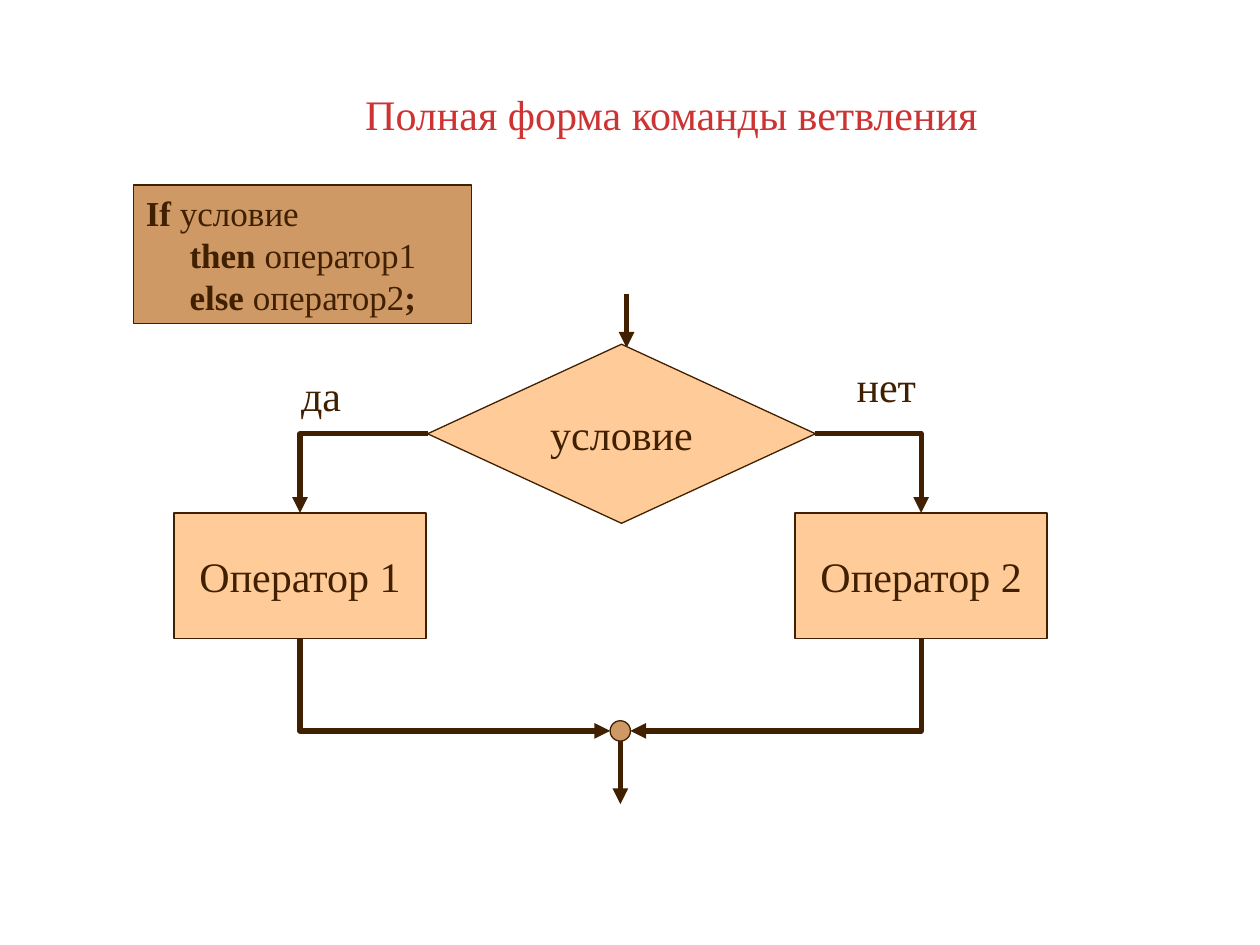
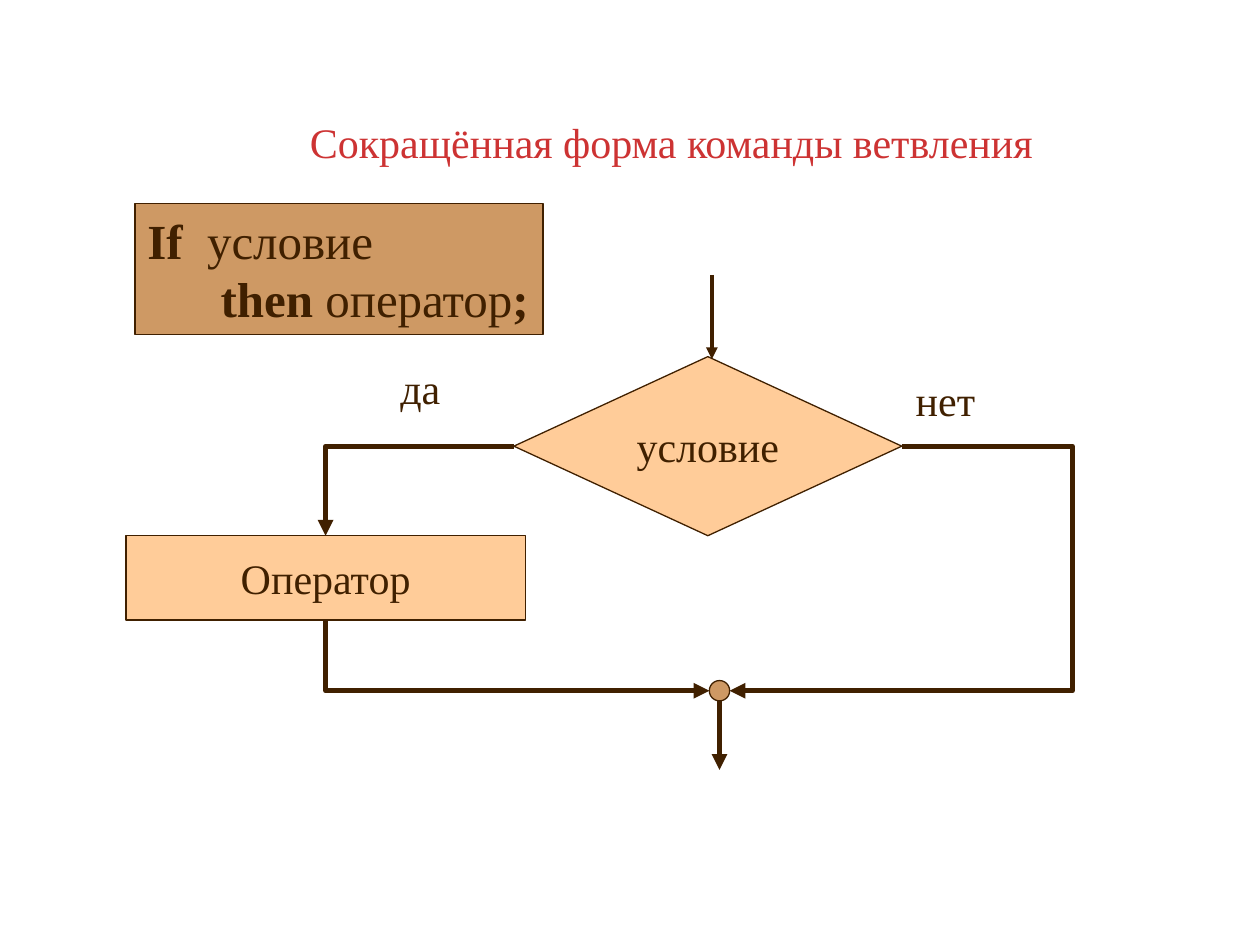
from typing import NamedTuple

from lxml import etree
from pptx import Presentation
from pptx.dml.color import RGBColor
from pptx.enum.shapes import MSO_CONNECTOR, MSO_SHAPE
from pptx.enum.text import MSO_ANCHOR, PP_ALIGN
from pptx.oxml.ns import qn
from pptx.util import Cm, Pt

# Shared look
BROWN = RGBColor(0x40, 0x20, 0x00)
PEACH = RGBColor(0xFF, 0xCC, 0x99)
TAN = RGBColor(0xCE, 0x99, 0x64)
RED = RGBColor(0xCD, 0x33, 0x33)
FONT = "Times New Roman"
TEXT_SIZE = 24

STRAIGHT, ELBOW = MSO_CONNECTOR.STRAIGHT, MSO_CONNECTOR.ELBOW
RECTANGLE = MSO_SHAPE.RECTANGLE
DECISION = MSO_SHAPE.FLOWCHART_DECISION
JUNCTION = MSO_SHAPE.FLOWCHART_CONNECTOR
LEFT, CENTER = PP_ALIGN.LEFT, PP_ALIGN.CENTER
TOP_ANCHOR, MIDDLE = MSO_ANCHOR.TOP, MSO_ANCHOR.MIDDLE
TOP_SIDE, LEFT_SIDE, BOTTOM_SIDE, RIGHT_SIDE = range(4)
TITLE_ONLY = 5

DECISION_SIZE = (7.82, 3.61)
LABEL_SIZE = (2.4, 1.27)
JUNCTION_SIZE = 0.41


class Box(NamedTuple):
    """A region of the slide, in centimetres."""
    left: float
    top: float
    width: float
    height: float

    def inner(self, x, y, width, height):
        return Box(self.left + x, self.top + y, width, height)

    @property
    def right(self):
        return self.left + self.width

    @property
    def bottom(self):
        return self.top + self.height

    @property
    def center_x(self):
        return self.left + self.width / 2

    @property
    def center_y(self):
        return self.top + self.height / 2

    def lengths(self):
        return [Cm(value) for value in self]


def format_run(run, size=TEXT_SIZE, color=BROWN, bold=False):
    for name, value in {"name": FONT, "size": Pt(size), "bold": bold}.items():
        setattr(run.font, name, value)
    run.font.color.rgb = color


def add_title(slide, box, text):
    title = slide.shapes.title
    for name, value in zip(("left", "top", "width", "height"), box.lengths()):
        setattr(title, name, value)
    title.text_frame.vertical_anchor = MIDDLE
    paragraph = title.text_frame.paragraphs[0]
    paragraph.alignment = CENTER
    run = paragraph.add_run()
    run.text = text
    format_run(run, color=RED)


def add_block(slide, kind, box, fill, text=""):
    block = slide.shapes.add_shape(kind, *box.lengths())
    block.shadow.inherit = False
    block.fill.solid()
    block.fill.fore_color.rgb = fill
    block.line.color.rgb = BROWN
    block.line.width = Pt(0.75)
    if text:
        frame = block.text_frame
        frame.word_wrap = False
        frame.vertical_anchor = MIDDLE
        frame.paragraphs[0].alignment = CENTER
        run = frame.paragraphs[0].add_run()
        run.text = text
        format_run(run)
    return block


def add_label(slide, box, text):
    frame = slide.shapes.add_textbox(*box.lengths()).text_frame
    frame.word_wrap = True
    run = frame.paragraphs[0].add_run()
    run.text = text
    format_run(run)


def add_code(slide, box, lines, size):
    """Each line is a list of (text, bold) pieces."""
    frame = add_block(slide, RECTANGLE, box, TAN).text_frame
    frame.word_wrap = True
    frame.vertical_anchor = TOP_ANCHOR
    for index, pieces in enumerate(lines):
        paragraph = frame.add_paragraph() if index else frame.paragraphs[0]
        paragraph.alignment = LEFT
        for text, bold in pieces:
            run = paragraph.add_run()
            run.text = text
            format_run(run, size, bold=bold)


def add_arrow(slide, start, end, kind=STRAIGHT, arrow="tailEnd", weight=3):
    points = [Cm(value) for value in (*start, *end)]
    arrow_line = slide.shapes.add_connector(kind, *points)
    arrow_line.line.color.rgb = BROWN
    arrow_line.line.width = Pt(weight)
    properties = arrow_line._element.spPr
    etree.SubElement(properties.find(qn("a:ln")), qn("a:" + arrow), type="triangle")
    etree.SubElement(properties, qn("a:effectLst"))
    return arrow_line


def add_corner(slide, start, end, arrow="tailEnd"):
    """One bend: runs level from start, then upright to end."""
    corner = add_arrow(slide, start, end, ELBOW, arrow)
    corner._element.spPr.find(qn("a:prstGeom")).set("prst", "bentConnector2")
    return corner


def add_loop(slide, start, end, turn_x):
    """Runs level to turn_x, upright, then back level to end."""
    loop = add_arrow(slide, start, end, ELBOW)
    share = (turn_x - start[0]) / (end[0] - start[0])
    guides = loop._element.spPr.find(qn("a:prstGeom")).get_or_add_avLst()
    etree.SubElement(guides, qn("a:gd"), name="adj1",
                     fmla=f"val {round(share * 100000)}")
    return loop


def add_branching(slide, box, plan):
    """Flowchart of a branch; the places in plan are relative to box."""
    decision_box = box.inner(*plan["decision"], *DECISION_SIZE)
    junction_box = box.inner(*plan["junction"], JUNCTION_SIZE, JUNCTION_SIZE)
    op_width, op_height = plan["operator_size"]

    # Entry, condition and branch labels
    entry_x = box.left + plan["entry_x"]
    add_arrow(slide, (entry_x, box.top), (entry_x, box.top + plan["entry_length"]),
              weight=plan["entry_weight"])
    decision = add_block(slide, DECISION, decision_box, PEACH, "условие")
    for text, place in (("да", plan["yes"]), ("нет", plan["no"])):
        add_label(slide, box.inner(*place, *LABEL_SIZE), text)

    # Operators, the first on the left edge and the second on the right
    sides = ((0, LEFT_SIDE, decision_box.left, junction_box.left),
             (box.width - op_width, RIGHT_SIDE, decision_box.right, junction_box.right))
    for name, (x, side, exit_x, merge_x) in zip(plan["operators"], sides):
        op_box = box.inner(x, plan["operator_top"], op_width, op_height)
        operator = add_block(slide, RECTANGLE, op_box, PEACH, name)
        into = add_corner(slide, (exit_x, decision_box.center_y),
                          (op_box.center_x, op_box.top))
        into.begin_connect(decision, side)
        into.end_connect(operator, TOP_SIDE)
        out = add_corner(slide, (merge_x, junction_box.center_y),
                         (op_box.center_x, op_box.bottom), "headEnd")
        out.end_connect(operator, BOTTOM_SIDE)

    # Empty second branch
    if len(plan["operators"]) == 1:
        bypass = add_loop(slide, (decision_box.right, decision_box.center_y),
                          (junction_box.right, junction_box.center_y), box.right)
        bypass.begin_connect(decision, RIGHT_SIDE)

    # Merge point and exit
    add_block(slide, JUNCTION, junction_box, TAN)
    add_arrow(slide, (junction_box.center_x, junction_box.bottom),
              (junction_box.center_x, box.bottom))


FULL_CODE = [
    [("If", True), (" условие", False)],
    [("     then ", True), ("оператор1", False)],
    [("     else ", True), ("оператор2", False), (";", True)],
]
SHORT_CODE = [
    [("If ", True), (" условие", False)],
    [("      then ", True), ("оператор", False), (";", True)],
]
FULL_PLAN = {
    "decision": (5.11, 1.02), "junction": (8.79, 8.61),
    "operators": ("Оператор 1", "Оператор 2"),
    "operator_top": 4.42, "operator_size": (5.08, 2.54),
    "entry_x": 9.12, "entry_length": 1.09, "entry_weight": 3,
    "yes": (2.31, 1.4), "no": (13.51, 1.22),
}
SHORT_PLAN = {
    "decision": (7.82, 1.65), "junction": (11.76, 8.18),
    "operators": ("Оператор",),
    "operator_top": 5.26, "operator_size": (8.05, 1.7),
    "entry_x": 11.81, "entry_length": 1.7, "entry_weight": 2.25,
    "yes": (5.28, 1.65), "no": (15.67, 1.88),
}
# Title, title height, code, code box, code size, flowchart box, flowchart plan
SLIDES = [
    ("Полная форма команды ветвления", 2.06, FULL_CODE,
     Box(2.69, 3.73, 6.81, 2.79), 20, Box(3.51, 5.92, 17.6, 10.29), FULL_PLAN),
    ("Сокращённая форма команды ветвления", 3.18, SHORT_CODE,
     Box(2.72, 4.11, 8.23, 2.64), 28, Box(2.54, 5.54, 19.08, 9.98), SHORT_PLAN),
]


def main():
    deck = Presentation()
    deck.slide_width, deck.slide_height = Cm(25.4), Cm(19.05)
    for title, title_height, code, code_box, size, chart_box, plan in SLIDES:
        slide = deck.slides.add_slide(deck.slide_layouts[TITLE_ONLY])
        add_title(slide, Box(2.74, 1.27, 21.59, title_height), title)
        add_branching(slide, chart_box, plan)
        add_code(slide, code_box, code, size)
    deck.save("out.pptx")


if __name__ == "__main__":
    main()
